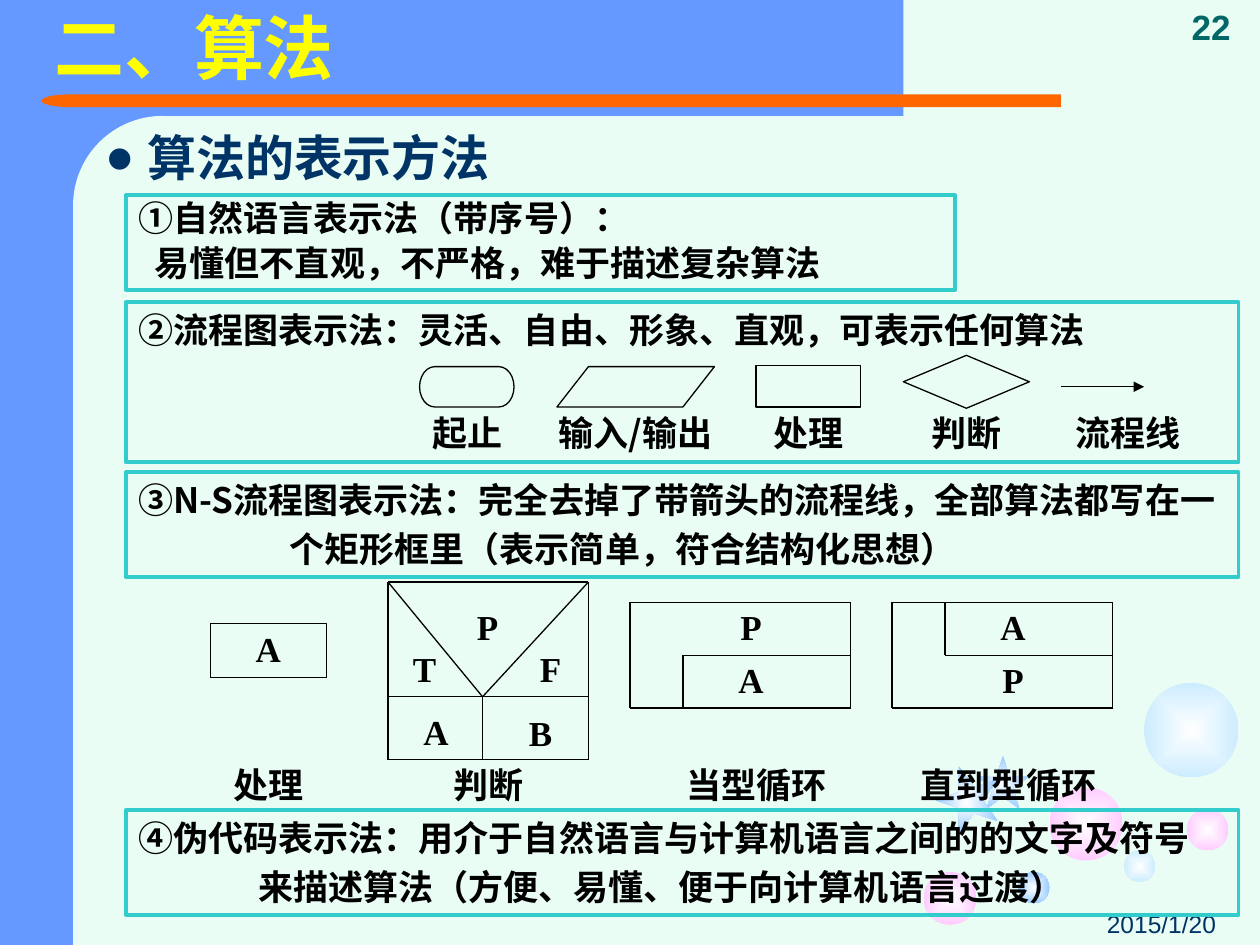
from collections import namedtuple
from dataclasses import dataclass

from lxml.etree import SubElement
from pptx import Presentation
from pptx.dml.color import RGBColor
from pptx.enum.shapes import MSO_CONNECTOR, MSO_SHAPE
from pptx.enum.text import MSO_ANCHOR, PP_ALIGN
from pptx.oxml.ns import qn
from pptx.util import Inches, Pt

Box = namedtuple("Box", "left top width height")


@dataclass(frozen=True)
class Theme:
    mint: str = "E9FDF4"
    blue: str = "6699FF"
    orange: str = "FF6600"
    yellow: str = "FFFF00"
    navy: str = "003366"
    green: str = "006666"
    teal: str = "33CCCC"
    ink: str = "000000"
    white: str = "FFFFFF"
    pink: str = "FFCCFF"
    pale: str = "CCECFF"
    sky: str = "99CCFF"
    latin: str = "Times New Roman"
    chinese: str = "Noto Sans CJK SC"
    plain: str = "Arial"
    title: int = 40
    heading: int = 28
    body: int = 20
    small: int = 14
    thin: float = 0.75
    thick: float = 2.25


THEME = Theme()


def color(value):
    return RGBColor.from_string(value)


def inches(box):
    return [Inches(length) for length in box]


def format_para(para, size=THEME.body, ink=THEME.ink, font=THEME.chinese, bold=True):
    for span in para.runs:
        span.font.size = Pt(size)
        span.font.bold = bold
        span.font.name = font
        span.font.color.rgb = color(ink)
        SubElement(span.font._element, qn("a:ea"), typeface=THEME.chinese)


def indent(para, margin, first=0):
    properties = para._p.get_or_add_pPr()
    properties.set("marL", str(Inches(margin)))
    properties.set("indent", str(Inches(first)))
    return properties


def add_text(page, box, text, align=PP_ALIGN.CENTER, anchor=MSO_ANCHOR.TOP, spacing=0.96, **style):
    frame = page.shapes.add_textbox(*inches(box)).text_frame
    frame.word_wrap = True
    frame.vertical_anchor = anchor
    para = frame.paragraphs[0]
    para.text = text
    para.alignment = align
    para.line_spacing = spacing
    format_para(para, **style)
    return para


def add_figure(page, kind, box, fill=None, line=None, weight=THEME.thin):
    shape = page.shapes.add_shape(kind, *inches(box))
    shape.shadow.inherit = False
    if fill:
        shape.fill.solid()
        shape.fill.fore_color.rgb = color(fill)
    else:
        shape.fill.background()
    if line:
        shape.line.color.rgb = color(line)
        shape.line.width = Pt(weight)
    else:
        shape.line.fill.background()
    return shape


def add_line(page, start, end, arrow=False):
    line = page.shapes.add_connector(MSO_CONNECTOR.STRAIGHT, *inches(start + end))
    line.line.color.rgb = color(THEME.ink)
    line.line.width = Pt(THEME.thin)
    if arrow:
        SubElement(line.line._get_or_add_ln(), qn("a:tailEnd"), type="triangle")
    SubElement(line._element.spPr, qn("a:effectLst"))


def add_path(page, box, *points):
    placed = [(box.left + x, box.top + y) for x, y in points]
    for start, end in zip(placed, placed[1:]):
        add_line(page, start, end)


def add_frame(page, box):
    _, _, w, h = box
    add_path(page, box, (0, 0), (w, 0), (w, h), (0, h), (0, 0))


def add_letters(page, box, letters):
    for letter, x, y in letters:
        add_text(page, Box(box.left + x, box.top + y, 0.58, 0.42), letter, font=THEME.latin)


def add_bauble(page, kind, box, tint, rotation=0):
    shape = add_figure(page, kind, box, fill=tint)
    shape.rotation = rotation
    shape.fill.gradient()
    for stop, value in zip(shape.fill.gradient_stops, (THEME.white, tint)):
        stop.color.rgb = color(value)
    gradient = shape._element.spPr.find(qn("a:gradFill"))
    gradient.remove(gradient.find(qn("a:lin")))
    shade = SubElement(gradient, qn("a:path"), path="shape")
    SubElement(shade, qn("a:fillToRect"), l="50000", t="50000", r="50000", b="50000")


def add_backdrop(page, box):
    page.background.fill.solid()
    page.background.fill.fore_color.rgb = color(THEME.mint)
    x, y, _, height = box
    add_figure(page, MSO_SHAPE.RECTANGLE, Box(x, y, 1.25, height), THEME.blue)
    add_figure(page, MSO_SHAPE.RECTANGLE, Box(x + 0.5, y, 6.67, 0.92), THEME.blue)
    corner = add_figure(page, MSO_SHAPE.ROUNDED_RECTANGLE, Box(x + 0.58, y + 0.92, 1.42, 5.75), THEME.mint)
    corner.adjustments[0] = 0.5
    bar = add_figure(page, MSO_SHAPE.ROUNDED_RECTANGLE, Box(x + 0.75, y + 0.75, 7.67, 0.1), THEME.orange)
    bar.adjustments[0] = 0
    tip = add_figure(page, MSO_SHAPE.FLOWCHART_DELAY, Box(x + 0.33, y + 0.75, 0.43, 0.1), THEME.orange)
    tip._element.spPr.xfrm.set("flipH", "1")
    add_figure(page, MSO_SHAPE.RECTANGLE, Box(x + 0.58, y + 5.92, 1.42, 1.58), THEME.mint)


def add_baubles(page, box):
    for x, y, size, tint in (
        (0.93, 0.83, 0.58, THEME.pink),
        (-0.07, 1.5, 0.42, THEME.pink),
        (1.52, 1.33, 0.25, THEME.pale),
        (2.02, 1, 0.33, THEME.pink),
        (1.68, 0, 0.75, THEME.pale),
        (0.68, 1.5, 0.25, THEME.sky),
    ):
        add_bauble(page, MSO_SHAPE.OVAL, Box(box.left + x, box.top + y, size, size), tint)
    for x, y, w, h, turn in ((0.35, 0.58, 0.42, 0.42, 0), (0, 0.68, 0.54, 0.5, 270)):
        add_bauble(page, MSO_SHAPE.STAR_5_POINT, Box(box.left + x, box.top + y, w, h), THEME.sky, turn)


def add_title(page, box, text):
    title = page.shapes.title
    page.shapes._spTree.append(title._element)
    title.left, title.top, title.width, title.height = inches(box)
    title.text_frame.text = text
    title.text_frame.vertical_anchor = MSO_ANCHOR.MIDDLE
    para = title.text_frame.paragraphs[0]
    para.alignment = PP_ALIGN.LEFT
    para.line_spacing = 0.9
    format_para(para, THEME.title, THEME.yellow, THEME.latin)


def add_heading(page, box, text):
    para = add_text(page, box, text, PP_ALIGN.LEFT, size=THEME.heading, ink=THEME.navy, font=THEME.latin)
    properties = indent(para, 0.32, -0.32)
    tint = SubElement(properties, qn("a:buClr"))
    SubElement(tint, qn("a:srgbClr"), val=THEME.navy)
    SubElement(properties, qn("a:buSzPct"), val="160000")
    SubElement(properties, qn("a:buFont"), typeface=THEME.plain)
    SubElement(properties, qn("a:buChar"), char="•")


def add_method(page, box, lines, second_indent=0, spacing=1.0):
    panel = add_figure(page, MSO_SHAPE.RECTANGLE, box, line=THEME.teal, weight=THEME.thick)
    frame = panel.text_frame
    frame.word_wrap = True
    frame.vertical_anchor = MSO_ANCHOR.TOP
    frame.text = "\n".join(lines)
    for para, margin in zip(frame.paragraphs, (0, second_indent)):
        indent(para, margin)
        para.alignment = PP_ALIGN.LEFT
        para.line_spacing = spacing
        para.space_before = Pt(4)
        format_para(para)


def add_flowchart_symbols(page, box):
    x, y, _, _ = box
    for kind, left, top, w, h in (
        (MSO_SHAPE.FLOWCHART_TERMINATOR, 0.16, 0.09, 0.75, 0.32),
        (MSO_SHAPE.FLOWCHART_DATA, 1.25, 0.09, 1.25, 0.32),
        (MSO_SHAPE.FLOWCHART_PROCESS, 2.83, 0.08, 0.83, 0.33),
        (MSO_SHAPE.FLOWCHART_DECISION, 4, 0, 1, 0.42),
    ):
        add_figure(page, kind, Box(x + left, y + top, w, h), line=THEME.ink)
    add_line(page, (x + 5.25, y + 0.25), (x + 5.91, y + 0.25), arrow=True)
    for text, left, w in (("起止", 0, 1.08), ("输入/输出", 1, 1.75), ("处理", 2.75, 1),
                          ("判断", 4, 1), ("流程线", 5.16, 1.25)):
        add_text(page, Box(x + left, y + 0.42, w, 0.42), text)


def add_process(page, box):
    add_figure(page, MSO_SHAPE.RECTANGLE, box, line=THEME.ink)
    add_text(page, box, "A", font=THEME.latin)


def add_decision(page, box):
    _, _, w, h = box
    split, middle = 0.91, 0.75
    add_frame(page, box)
    add_path(page, box, (0, split), (w, split))
    add_path(page, box, (0, 0), (middle, split), (w, 0))
    add_path(page, box, (middle, split), (middle, h))
    add_letters(page, box, (("P", 0.5, 0.16), ("T", 0, 0.49), ("F", 1, 0.49), ("A", 0.09, 0.99), ("B", 0.92, 1)))


def add_loop(page, box, upper, lower, step_end):
    middle = box.height / 2
    add_frame(page, box)
    add_path(page, box, (box.width, middle), (0.42, middle), (0.42, step_end))
    add_letters(page, box, ((upper, 0.67, 0), (lower, 0.67, middle)))


def add_structures(page, box):
    x, y, _, _ = box
    add_process(page, Box(x, y + 0.33, 0.92, 0.43))
    add_decision(page, Box(x + 1.41, y, 1.59, 1.41))
    add_loop(page, Box(x + 3.33, y + 0.16, 1.75, 0.84), "P", "A", 0.84)
    add_loop(page, Box(x + 5.41, y + 0.16, 1.75, 0.84), "A", "P", 0)
    for text, left, w in (("处理", 0, 0.92), ("判断", 1.75, 0.92), ("当型循环", 3.5, 1.67), ("直到型循环", 5.5, 1.67)):
        add_text(page, Box(x + left, y + 1.41, w, 0.42), text, font=THEME.latin)


def add_footer(page, box):
    right = box.left + box.width
    add_text(page, Box(right - 2.33, box.top + 7.17, 2.08, 0.33), "2015/1/20", PP_ALIGN.RIGHT, MSO_ANCHOR.BOTTOM,
             1.0, size=THEME.small, ink=THEME.navy, font=THEME.plain, bold=False)
    add_text(page, Box(right - 0.64, box.top, 0.64, 0.43), "22", PP_ALIGN.LEFT, MSO_ANCHOR.BOTTOM,
             1.0, ink=THEME.green, font=THEME.plain)


def main():
    deck = Presentation()
    deck.slide_width, deck.slide_height = Inches(10), Inches(7.5)
    page = deck.slides.add_slide(deck.slide_layouts[5])
    whole = Box(0, 0, 10, 7.5)
    add_backdrop(page, whole)
    add_baubles(page, Box(7.4, 5.42, 2.43, 1.92))
    add_footer(page, whole)
    add_title(page, Box(0.33, 0, 8.42, 0.83), "二、算法")
    add_method(page, Box(1, 1.55, 6.58, 0.75),
               ("①自然语言表示法（带序号）：", "易懂但不直观，不严格，难于描述复杂算法"), 0.13, 0.9)
    add_method(page, Box(1, 2.4, 8.83, 1.27), ("②流程图表示法：灵活、自由、形象、直观，可表示任何算法",))
    add_flowchart_symbols(page, Box(3.17, 2.82, 6.41, 0.84))
    add_method(page, Box(1, 3.75, 8.83, 0.83),
               ("③N-S流程图表示法：完全去掉了带箭头的流程线，全部算法都写在一",
                "个矩形框里（表示简单，符合结构化思想）"), 1.2)
    add_method(page, Box(1, 6.43, 8.83, 0.83),
               ("④伪代码表示法：用介于自然语言与计算机语言之间的的文字及符号",
                "来描述算法（方便、易懂、便于向计算机语言过渡）"), 0.95)
    add_structures(page, Box(1.67, 4.62, 7.17, 1.83))
    add_heading(page, Box(0.75, 0.99, 6.08, 0.55), "算法的表示方法")
    deck.save("out.pptx")


if __name__ == "__main__":
    main()
